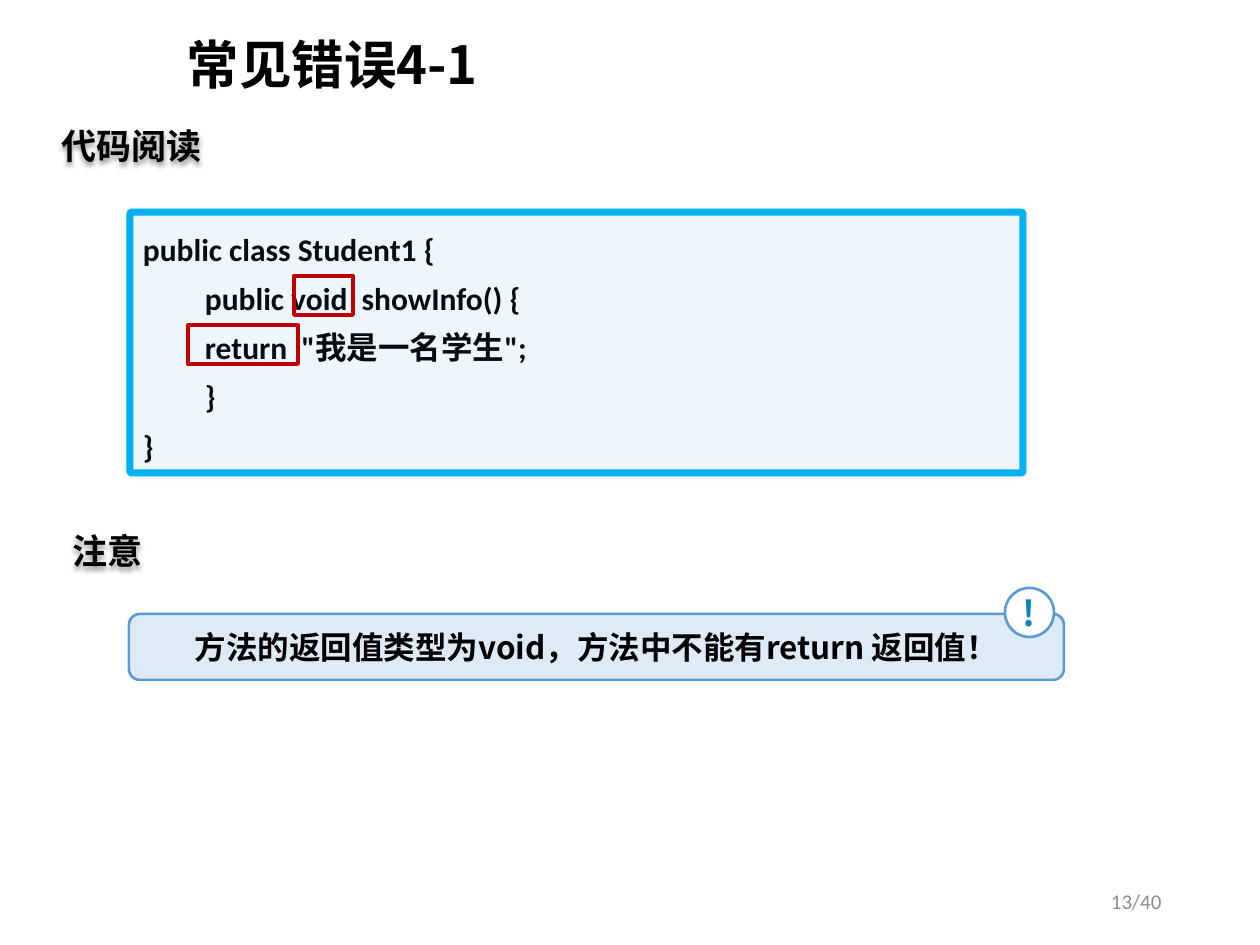
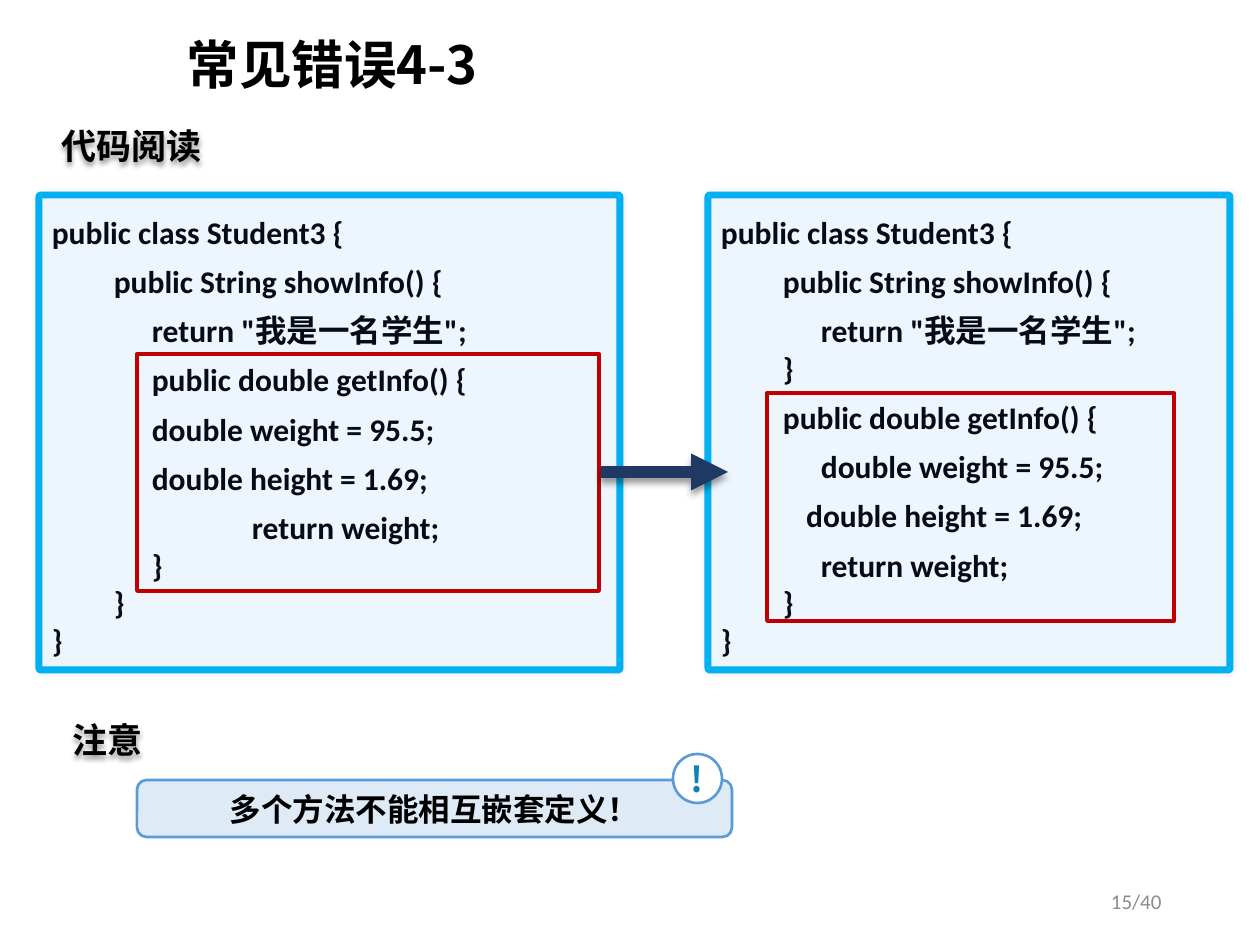
"""Build two slides on common mistakes when defining Java methods."""
from lxml.etree import SubElement
from pptx import Presentation
from pptx.dml.color import RGBColor
from pptx.enum.shapes import MSO_CONNECTOR as Connector, MSO_SHAPE as Shape
from pptx.enum.text import MSO_ANCHOR as Anchor, MSO_AUTO_SIZE as AutoSize, PP_ALIGN as Align
from pptx.oxml.ns import qn
from pptx.util import Emu, Pt

PX = 914400 / 126
LATIN, CHINESE = "Calibri", "Noto Sans CJK SC"
BLACK, WHITE, CODE_INK, GREY = "000000", "FFFFFF", "060B14", "8C8C8C"
CODE_FILL, CODE_EDGE, MARK = "EDF5FD", "00B0F0", "C00000"
NOTE_FILL, NOTE_EDGE, BADGE_INK, ARROW = "DEEBF7", "5B9BD5", "0C83B8", "203864"
TAB_STOPS = (62, 100, 200)
BADGE = 49

SLIDES = [
    {
        "title": "常见错误4-1",
        "number": "13/40",
        "code": [
            {"at": (130, 212, 893, 261), "brace_spacing": 1.3, "lines": [
                "public class Student1 {",
                "\tpublic void  showInfo() {",
                "       \treturn  \"我是一名学生\";",
                "    \t}",
                "}",
            ]},
        ],
        "marks": [(188, 325, 110, 39), (294, 276, 59, 39)],
        "arrows": [],
        "notice_top": 523,
        "note": ("方法的返回值类型为void，方法中不能有return 返回值！", (129, 614, 935, 66)),
    },
    {
        "title": "常见错误4-3",
        "number": "15/40",
        "code": [
            {"at": (39, 195, 581, 475), "brace_spacing": 1.0, "lines": [
                "public class Student3 {",
                "\tpublic String showInfo() {",
                "\t\treturn \"我是一名学生\";",
                "\t\tpublic double getInfo() {",
                "             \tdouble weight = 95.5;",
                "             \tdouble height = 1.69;",
                "   \t\t\treturn weight;",
                "         \t}",
                "     \t}",
                "}",
            ]},
            {"at": (708, 195, 522, 475), "brace_spacing": 1.0, "lines": [
                "public class Student3 {",
                "\tpublic String showInfo() {",
                "\t\treturn \"我是一名学生\";",
                "\t}",
                "\tpublic double getInfo() {",
                "\t\tdouble weight = 95.5;",
                "            double height = 1.69;",
                "   \t\treturn weight;",
                "\t}",
                "}",
            ]},
        ],
        "marks": [(137, 354, 462, 237), (767, 393, 407, 228)],
        "arrows": [(601, 472, 728, 472)],
        "notice_top": 712,
        "note": ("多个方法不能相互嵌套定义！", (137, 780, 595, 57)),
    },
]


def px(*lengths):
    return [Emu(round(length * PX)) for length in lengths]


def color(value):
    return RGBColor.from_string(value)


def add_effects(shape, alpha=0, blur=0, distance=0, angle=0):
    effects = SubElement(shape._element.spPr, qn("a:effectLst"))
    if alpha:
        shadow = SubElement(effects, qn("a:outerShdw"), blurRad=str(Pt(blur)),
                            dist=str(Pt(distance)), dir=str(angle * 60000), rotWithShape="0")
        ink = SubElement(shadow, qn("a:srgbClr"), val=BLACK)
        SubElement(ink, qn("a:alpha"), val=str(alpha * 1000))


def write(shape, lines, size, ink, font=CHINESE, bold=True, align=Align.LEFT,
          anchor=Anchor.MIDDLE, wrap=True, tabs=()):
    frame = shape.text_frame
    frame.text = "\n".join(lines)
    frame.word_wrap = wrap
    frame.auto_size = AutoSize.NONE
    frame.vertical_anchor = anchor
    for para in frame.paragraphs:
        para.alignment = align
        properties = para._p.get_or_add_pPr()
        if tabs:
            stops = SubElement(properties, qn("a:tabLst"))
            for stop in px(*tabs):
                SubElement(stops, qn("a:tab"), pos=str(stop), algn="l")
        para.font.name = font
        para.font.size = Pt(size)
        para.font.bold = bold
        para.font.color.rgb = color(ink)
        SubElement(properties.find(qn("a:defRPr")), qn("a:ea"), typeface=CHINESE)
    return frame


def add_box(page, kind, at, edge, width, fill=None, **shadow):
    box = page.shapes.add_shape(kind, *px(*at))
    if fill:
        box.fill.solid()
        box.fill.fore_color.rgb = color(fill)
    else:
        box.fill.background()
    box.line.color.rgb = color(edge)
    box.line.width = Pt(width)
    add_effects(box, **shadow)
    return box


def add_label(page, text, at):
    label = page.shapes.add_textbox(*px(*at))
    write(label, [text], 20, BLACK, wrap=False)
    add_effects(label, alpha=40, blur=3, distance=2, angle=90)


def add_code(page, at, lines, brace_spacing):
    box = add_box(page, Shape.ROUNDED_RECTANGLE, at, CODE_EDGE, 4, CODE_FILL, alpha=10, blur=3)
    box.adjustments[0] = 2 / at[3]
    frame = write(box, lines, 18, CODE_INK, LATIN, anchor=Anchor.TOP, tabs=TAB_STOPS)
    for para, line in zip(frame.paragraphs, lines):
        para.line_spacing = brace_spacing if line.strip() == "}" else 1.3


def add_arrow(page, ends):
    arrow = page.shapes.add_connector(Connector.STRAIGHT, *px(*ends))
    arrow.line.color.rgb = color(ARROW)
    arrow.line.width = Pt(7)
    SubElement(arrow.line._get_or_add_ln(), qn("a:tailEnd"), type="triangle")
    add_effects(arrow, alpha=40, blur=4, distance=3, angle=90)


def add_note(page, text, at):
    left, top, width, _ = at
    note = add_box(page, Shape.ROUNDED_RECTANGLE, at, NOTE_EDGE, 1.5, NOTE_FILL)
    write(note, [text], 18, BLACK, align=Align.CENTER)
    badge_at = (left + width - 59, top - 26, BADGE, BADGE)
    badge = add_box(page, Shape.OVAL, badge_at, NOTE_EDGE, 1.5, WHITE)
    frame = write(badge, ["!"], 20, BADGE_INK, align=Align.CENTER)
    frame.margin_left = frame.margin_right = frame.margin_top = frame.margin_bottom = 0


def add_page(deck, content):
    page = deck.slides.add_slide(deck.slide_layouts[5])
    title = page.shapes.title
    title.left, title.top, title.width, title.height = px(174, 13, 1086, 110)
    write(title, [content["title"]], 30, BLACK).paragraphs[0].line_spacing = 0.9
    number = page.shapes.add_textbox(*px(890, 876, 284, 50))
    write(number, [content["number"]], 12, GREY, LATIN, bold=False, align=Align.RIGHT)
    add_label(page, "代码阅读", (49, 118, 168, 55))
    for block in content["code"]:
        add_code(page, **block)
    for mark in content["marks"]:
        add_box(page, Shape.RECTANGLE, mark, MARK, 2.25)
    for ends in content["arrows"]:
        add_arrow(page, ends)
    add_label(page, "注意", (60, content["notice_top"], 97, 55))
    add_note(page, *content["note"])


def main():
    deck = Presentation()
    deck.slide_width, deck.slide_height = px(1260, 945)
    for content in SLIDES:
        add_page(deck, content)
    deck.save("out.pptx")


if __name__ == "__main__":
    main()
